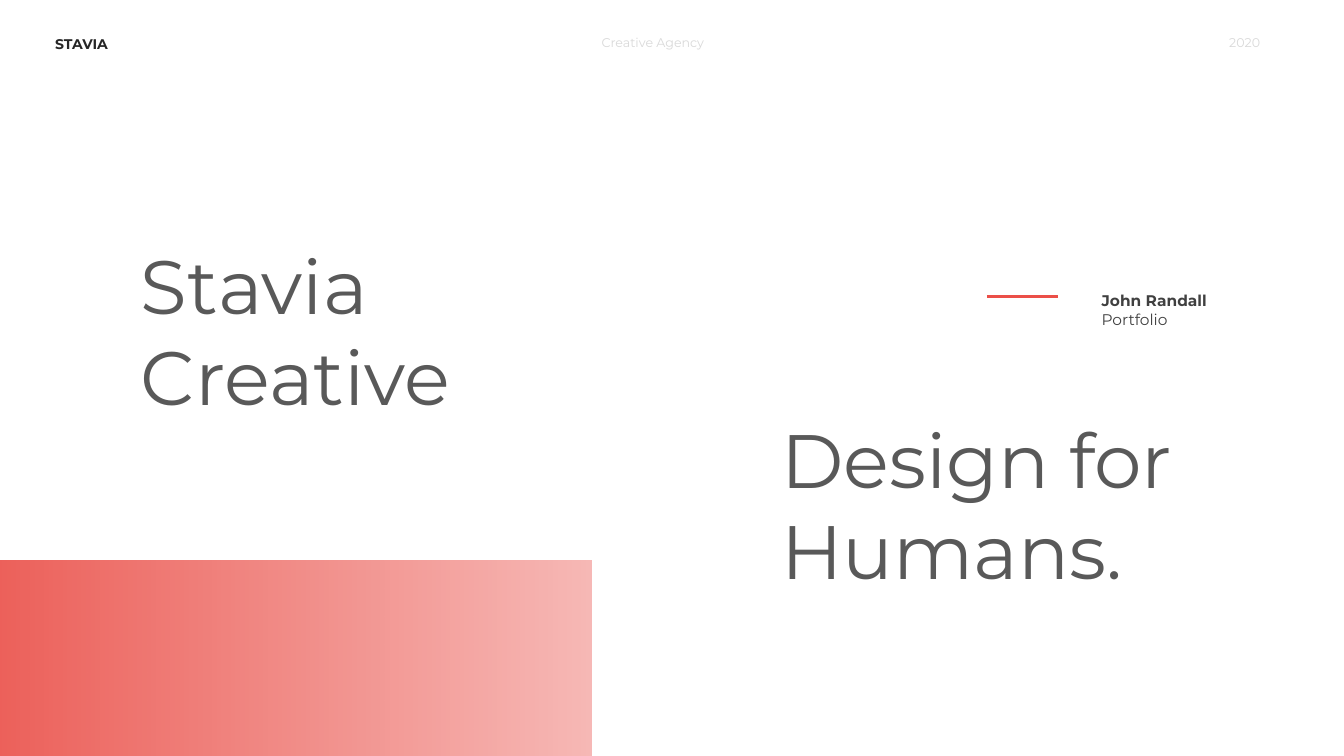
"""Builds the title slide of a creative agency portfolio."""
from lxml.etree import SubElement
from pptx import Presentation
from pptx.dml.color import RGBColor
from pptx.enum.shapes import MSO_CONNECTOR, MSO_SHAPE
from pptx.enum.text import MSO_AUTO_SIZE, PP_ALIGN
from pptx.oxml.ns import qn
from pptx.util import Pt

COLORS = {
    "brand": "262626",
    "pale": "D9D9D9",
    "title": "595959",
    "name": "404040",
    "red": "EB4F48",
}


def color(key):
    return RGBColor.from_string(COLORS[key])


def add_text(left, top, width, height, lines, size, key, align=PP_ALIGN.LEFT):
    box = slide.shapes.add_textbox(Pt(left), Pt(top), Pt(width), Pt(height))
    frame = box.text_frame
    frame.word_wrap = True
    frame.auto_size = MSO_AUTO_SIZE.SHAPE_TO_FIT_TEXT
    for i, (text, bold) in enumerate(lines):
        para = frame.add_paragraph() if i else frame.paragraphs[0]
        para.text = text
        para.alignment = align
        para.font.name = "Montserrat"
        para.font.size = Pt(size)
        para.font.bold = bold
        para.font.color.rgb = color(key)


deck = Presentation()
deck.slide_width, deck.slide_height = Pt(960), Pt(540)
slide = deck.slides.add_slide(deck.slide_layouts[6])

add_text(32.4, 21.6, 77, 19.4, [("STAVIA", True)], 10, "brand")
add_text(422.6, 21.6, 113.8, 18, [("Creative Agency", False)], 9, "pale")
add_text(793.4, 21.6, 113.8, 18, [("2020", False)], 9, "pale", PP_ALIGN.RIGHT)

add_text(93.6, 167, 396.7, 138.2, [("Stavia Creative", False)], 54, "title")
add_text(779.8, 204.5, 103.7, 33.8,
         [("John Randall", True), ("Portfolio", False)], 11, "name")
add_text(550.8, 291.6, 351.4, 138.2, [("Design for Humans.", False)], 54, "title")

rule = slide.shapes.add_connector(
    MSO_CONNECTOR.STRAIGHT, Pt(704.9), Pt(211.7), Pt(756), Pt(211.7))
rule.line.color.rgb = color("red")
rule.line.width = Pt(2.25)
SubElement(rule._element.spPr, qn("a:effectLst"))

band = slide.shapes.add_shape(
    MSO_SHAPE.RECTANGLE, Pt(0), Pt(400.3), Pt(422.6), Pt(139.7))
band.shadow.inherit = False
band.line.fill.background()
band.fill.gradient()
band.fill.gradient_angle = 0
for stop, place in zip(band.fill.gradient_stops, (0, 1)):
    stop.position = place
    stop.color.rgb = color("red")
tints = band._element.spPr.iter(qn("a:srgbClr"))
for tint, alpha in zip(tints, (90, 40)):
    SubElement(tint, qn("a:alpha"), val=str(alpha * 1000))

deck.save("out.pptx")
